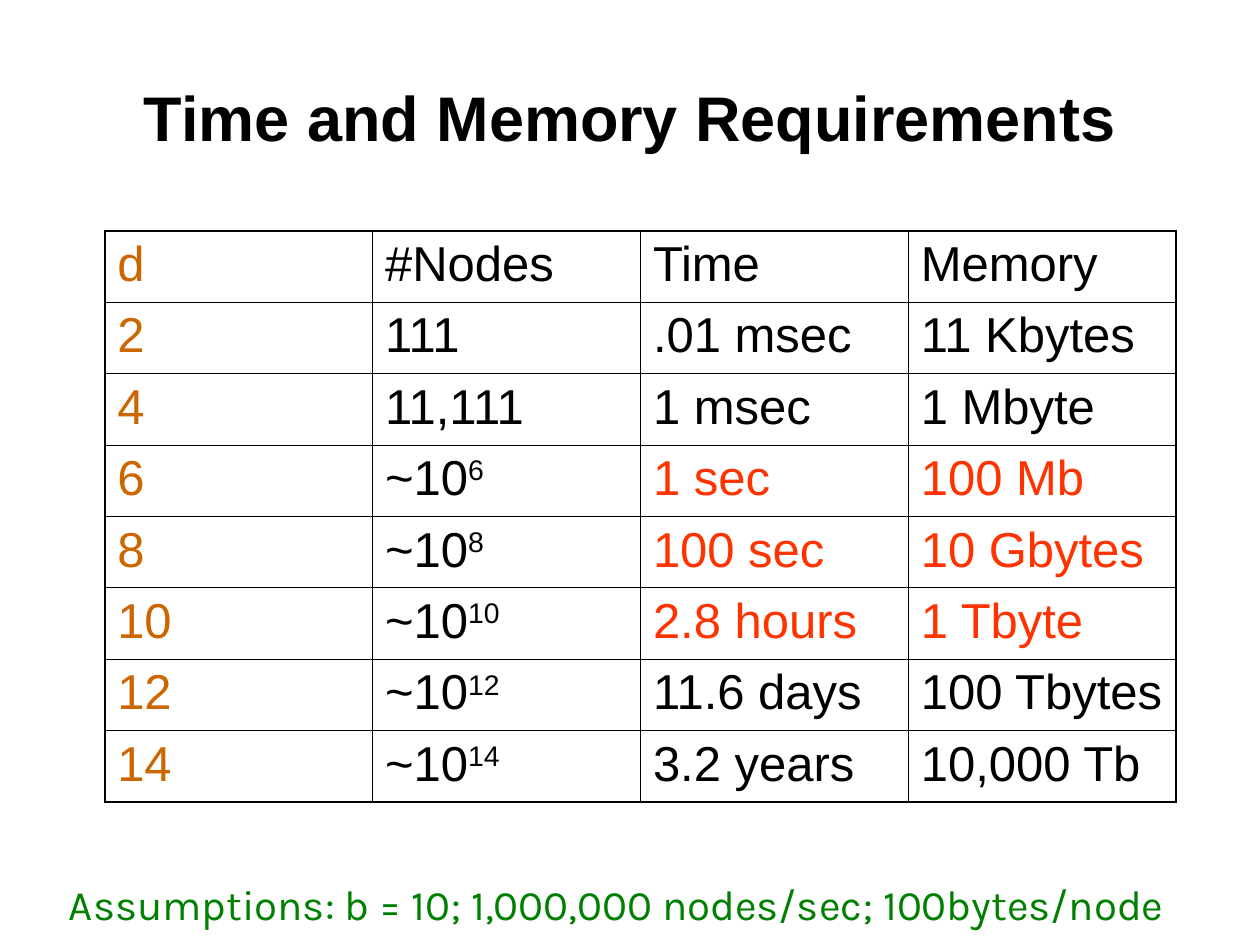
"""Build a slide on the time and memory requirements of a search."""
from typing import Any, NamedTuple

from lxml import etree
from pptx import Presentation, util as u
from pptx.dml.color import RGBColor
from pptx.enum import text
from pptx.oxml import ns

BLACK = RGBColor(0x00, 0x00, 0x00)
ORANGE = RGBColor(0xCC, 0x66, 0x00)
RED = RGBColor(0xFF, 0x33, 0x00)
GREEN = RGBColor(0x00, 0x80, 0x00)
INNER_WIDTH, OUTER_WIDTH = u.Pt(0.45), u.Pt(1.08)
COLUMN_WIDTH, ROW_HEIGHT = u.Cm(5.4), u.Cm(1.44)


class Requirement(NamedTuple):
    depth: str
    nodes: str
    exponent: str
    time: str
    memory: str
    cost_color: RGBColor = BLACK


REQUIREMENTS = [
    Requirement("d", "#Nodes", "", "Time", "Memory"),
    Requirement("2", "111", "", ".01 msec", "11 Kbytes"),
    Requirement("4", "11,111", "", "1 msec", "1 Mbyte"),
    Requirement("6", "~10", "6", "1 sec", "100 Mb", RED),
    Requirement("8", "~10", "8", "100 sec", "10 Gbytes", RED),
    Requirement("10", "~10", "10", "2.8 hours", "1 Tbyte", RED),
    Requirement("12", "~10", "12", "11.6 days", "100 Tbytes"),
    Requirement("14", "~10", "14", "3.2 years", "10,000 Tb"),
]


def apply(target: Any, values: dict[str, Any]) -> None:
    for attribute, value in values.items():
        setattr(target, attribute, value)


def write(paragraph: Any, words: str, color: RGBColor, size: int,
          font_name: str = "Arial", bold: bool = False) -> Any:
    run = paragraph.add_run()
    run.text = words
    apply(run.font, {"name": font_name, "size": u.Pt(size), "bold": bold})
    run.font.color.rgb = color
    return run


def draw_border(cell: Any, side: str, width: int) -> None:
    properties = cell._tc.get_or_add_tcPr()
    border = etree.SubElement(properties, ns.qn(f"a:ln{side}"), w=str(width))
    fill = etree.SubElement(border, ns.qn("a:solidFill"))
    etree.SubElement(fill, ns.qn("a:srgbClr"), val=str(BLACK))


def add_title(slide: Any) -> None:
    title = slide.shapes.title
    apply(title, {"left": u.Cm(1.27), "top": u.Cm(0.76),
                  "width": u.Cm(22.86), "height": u.Cm(3.18)})
    apply(title.text_frame, {"vertical_anchor": text.MSO_ANCHOR.MIDDLE,
                             "auto_size": text.MSO_AUTO_SIZE.NONE})
    heading = title.text_frame.paragraphs[0]
    heading.alignment = text.PP_ALIGN.CENTER
    write(heading, "Time and Memory Requirements", BLACK, 36, bold=True)


def add_requirements(slide: Any, requirements: list[Requirement]) -> None:
    row_count, column_count = len(requirements), 4
    table = slide.shapes.add_table(
        row_count, column_count, u.Cm(2.11), u.Cm(4.65),
        COLUMN_WIDTH * column_count, ROW_HEIGHT * row_count).table
    apply(table, {"first_row": False, "horz_banding": False})
    for column in table.columns:
        column.width = COLUMN_WIDTH
    for row, requirement in enumerate(requirements):
        table.rows[row].height = ROW_HEIGHT
        entries = [
            (requirement.depth, ORANGE),
            (requirement.nodes, BLACK),
            (requirement.time, requirement.cost_color),
            (requirement.memory, requirement.cost_color),
        ]
        for column, (words, color) in enumerate(entries):
            cell = table.cell(row, column)
            on_edge = {"L": column == 0, "R": column == column_count - 1,
                       "T": row == 0, "B": row == row_count - 1}
            for side, outer in on_edge.items():
                draw_border(cell, side, OUTER_WIDTH if outer else INNER_WIDTH)
            cell.fill.background()
            write(cell.text_frame.paragraphs[0], words, color, 28)
        if requirement.exponent:
            nodes = table.cell(row, 1).text_frame.paragraphs[0]
            power = write(nodes, requirement.exponent, BLACK, 28)
            power._r.get_or_add_rPr().set("baseline", "30000")


def add_assumptions(slide: Any) -> None:
    assumptions = slide.shapes.add_textbox(
        u.Cm(1.14), u.Cm(17.58), u.Cm(23.47), u.Cm(1.27)).text_frame
    apply(assumptions, {"word_wrap": False,
                        "auto_size": text.MSO_AUTO_SIZE.SHAPE_TO_FIT_TEXT})
    write(assumptions.paragraphs[0],
          "Assumptions: b = 10; 1,000,000 nodes/sec; 100bytes/node",
          GREEN, 24, "Karla")


def main() -> None:
    presentation = Presentation()
    apply(presentation, {"slide_width": u.Cm(25.4), "slide_height": u.Cm(19.05)})
    slide = presentation.slides.add_slide(presentation.slide_layouts[5])
    add_title(slide)
    add_requirements(slide, REQUIREMENTS)
    add_assumptions(slide)
    presentation.save("out.pptx")


if __name__ == "__main__":
    main()
